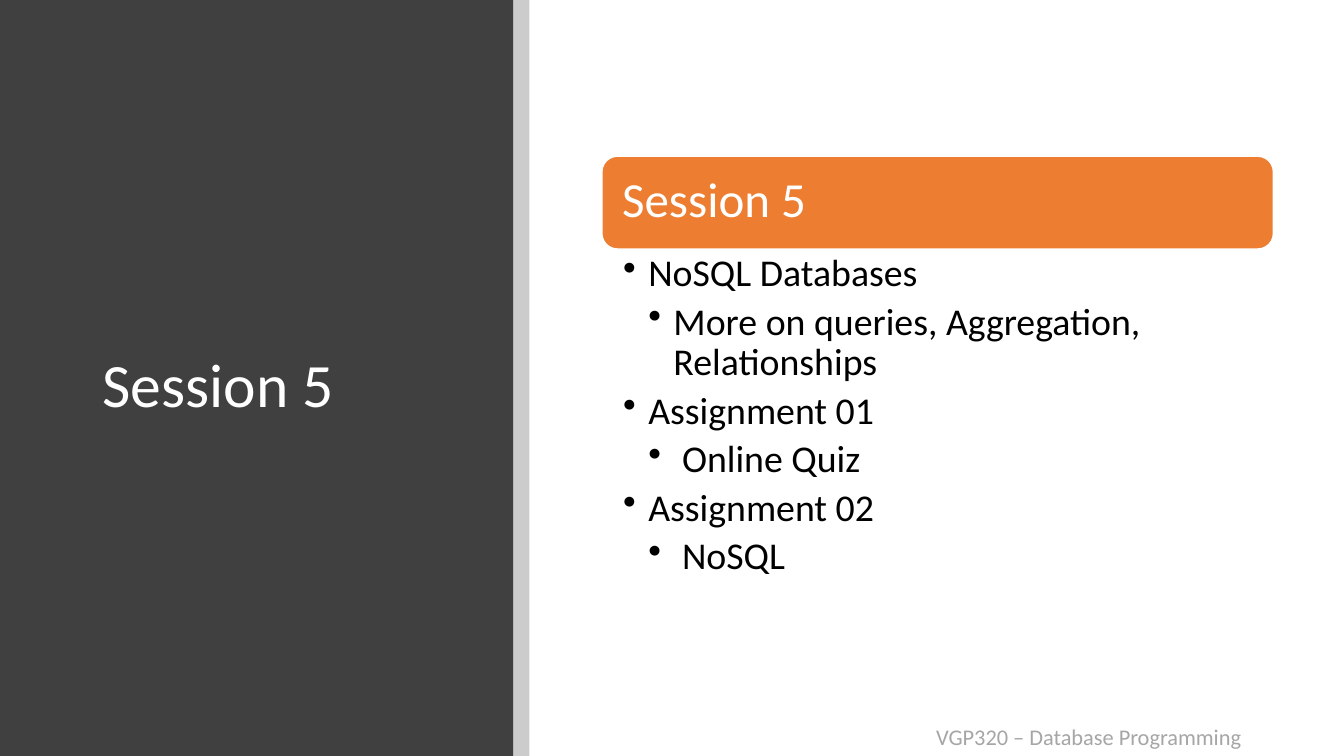
from lxml import etree
from pptx import Presentation
from pptx import util as u
from pptx.dml.color import RGBColor
from pptx.enum import shapes, text
from pptx.oxml.ns import qn

FONT = "Calibri"
DARK = RGBColor(0x40, 0x40, 0x40)
ORANGE = RGBColor(0xED, 0x7D, 0x31)
FOOTER_GREY = RGBColor(0xA6, 0xA6, 0xA6)
WHITE = RGBColor(0xFF, 0xFF, 0xFF)
BLACK = RGBColor(0, 0, 0)

TOPICS = [
    (0, "NoSQL Databases"),
    (1, "More on queries, Aggregation, Relationships"),
    (0, "Assignment 01"),
    (1, " Online Quiz"),
    (0, "Assignment 02"),
    (1, " NoSQL"),
]


def add_block(slide, kind, box, fill):
    block = slide.shapes.add_shape(kind, *map(u.Inches, box))
    block.shadow.inherit = False
    block.fill.solid()
    block.fill.fore_color.rgb = fill
    block.line.fill.background()
    return block


def add_text_frame(slide, box, insets=(0.1, 0.05, 0.1, 0.05), anchor=text.MSO_ANCHOR.TOP):
    frame = slide.shapes.add_textbox(*map(u.Inches, box)).text_frame
    frame.word_wrap = True
    frame.vertical_anchor = anchor
    (frame.margin_left, frame.margin_top,
     frame.margin_right, frame.margin_bottom) = map(u.Inches, insets)
    return frame


def style(paragraph, size, color, line_spacing=0.9):
    paragraph.line_spacing = line_spacing
    paragraph.font.name = FONT
    paragraph.font.size = u.Pt(size)
    paragraph.font.color.rgb = color


def add_bullet(paragraph, level):
    paragraph.level = level
    properties = paragraph._p.get_or_add_pPr()
    properties.set("marL", str(u.Inches(0.25 * (level + 1))))
    properties.set("indent", str(u.Inches(-0.25)))
    etree.SubElement(properties, qn("a:buChar"), char="•")


def title_panel(slide, left, top, width, height):
    """Dark panel with the title, edged on the right by a translucent strip."""
    rectangle = shapes.MSO_SHAPE.RECTANGLE
    add_block(slide, rectangle, (left, top, width, height), DARK)
    frame = add_text_frame(slide, (left + 0.92, top + 0.89, width - 1.44, height - 1.59),
                           anchor=text.MSO_ANCHOR.MIDDLE)
    title = frame.paragraphs[0]
    title.text = "Session 5"
    style(title, 44, WHITE)

    edge = add_block(slide, rectangle, (left + width, top, 0.16, height), BLACK)
    edge_color = edge.fill._xPr.find(qn("a:solidFill"))[0]
    etree.SubElement(edge_color, qn("a:alpha"), val="20000")


def agenda(slide, left, top, width, height):
    """Orange heading bar above a two-level bullet list."""
    bar_height = 0.92
    bar = add_block(slide, shapes.MSO_SHAPE.ROUNDED_RECTANGLE,
                    (left, top, width, bar_height), ORANGE)
    bar.line.color.rgb = WHITE
    bar.line.width = u.Pt(1)
    frame = add_text_frame(slide, (left + 0.05, top + 0.04, width - 0.09, bar_height - 0.09),
                           (0.15,) * 4, text.MSO_ANCHOR.MIDDLE)
    heading = frame.paragraphs[0]
    heading.text = "Session 5"
    style(heading, 35, WHITE)

    frame = add_text_frame(slide, (left, top + bar_height, width, height - bar_height),
                           (0.21, 0.05, 0.27, 0.05))
    for index, (level, topic) in enumerate(TOPICS):
        item = frame.add_paragraph() if index else frame.paragraphs[0]
        item.text = topic
        item.space_after = u.Pt(5.4)
        add_bullet(item, level)
        style(item, 27, BLACK)


def footer(slide, *box):
    course = add_text_frame(slide, box).paragraphs[0]
    course.text = "VGP320 – Database Programming"
    course.alignment = text.PP_ALIGN.RIGHT
    style(course, 16, FOOTER_GREY, 1.0)


def main():
    deck = Presentation()
    deck.slide_width, deck.slide_height = u.Inches(13.33), u.Inches(7.5)
    slide = deck.slides.add_slide(deck.slide_layouts[6])
    footer(slide, 8.49, 7.13, 3.92, 0.37)
    title_panel(slide, 0, 0, 5.09, 7.5)
    agenda(slide, 5.97, 1.55, 6.66, 4.41)
    deck.save("out.pptx")


if __name__ == "__main__":
    main()
